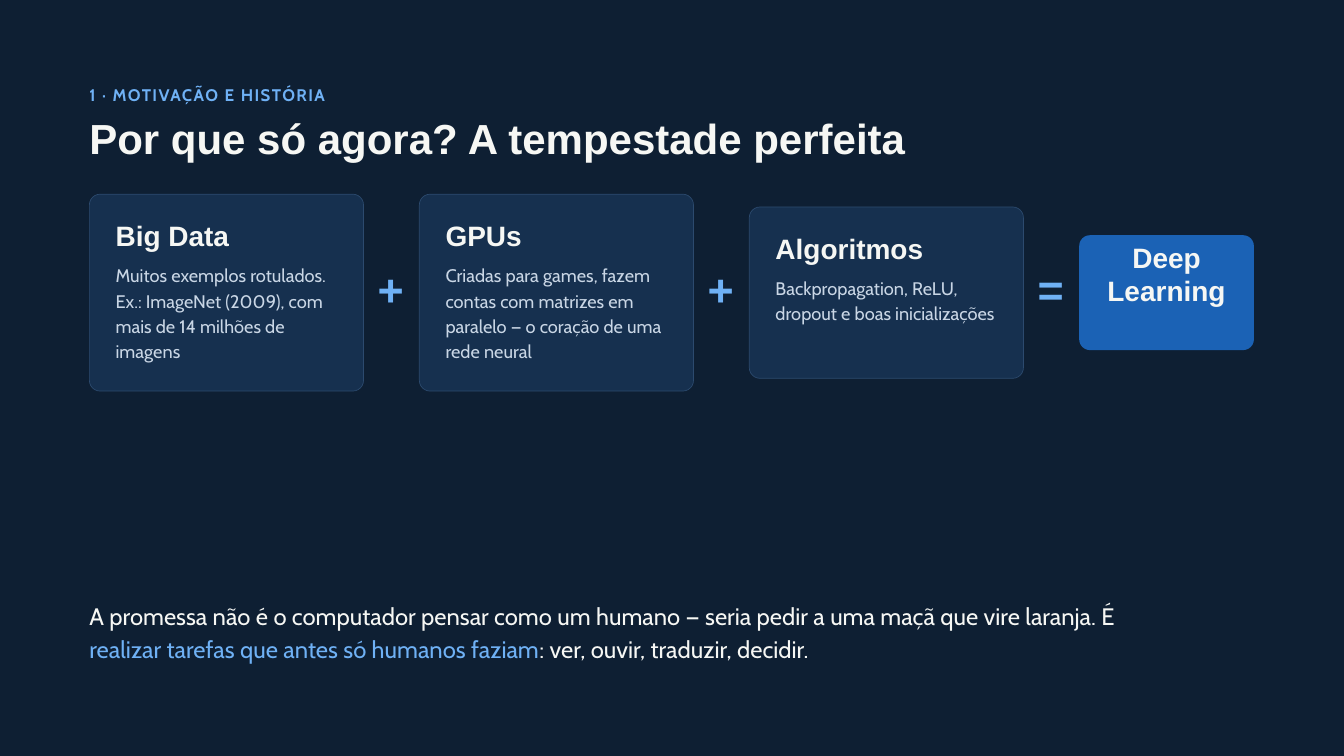
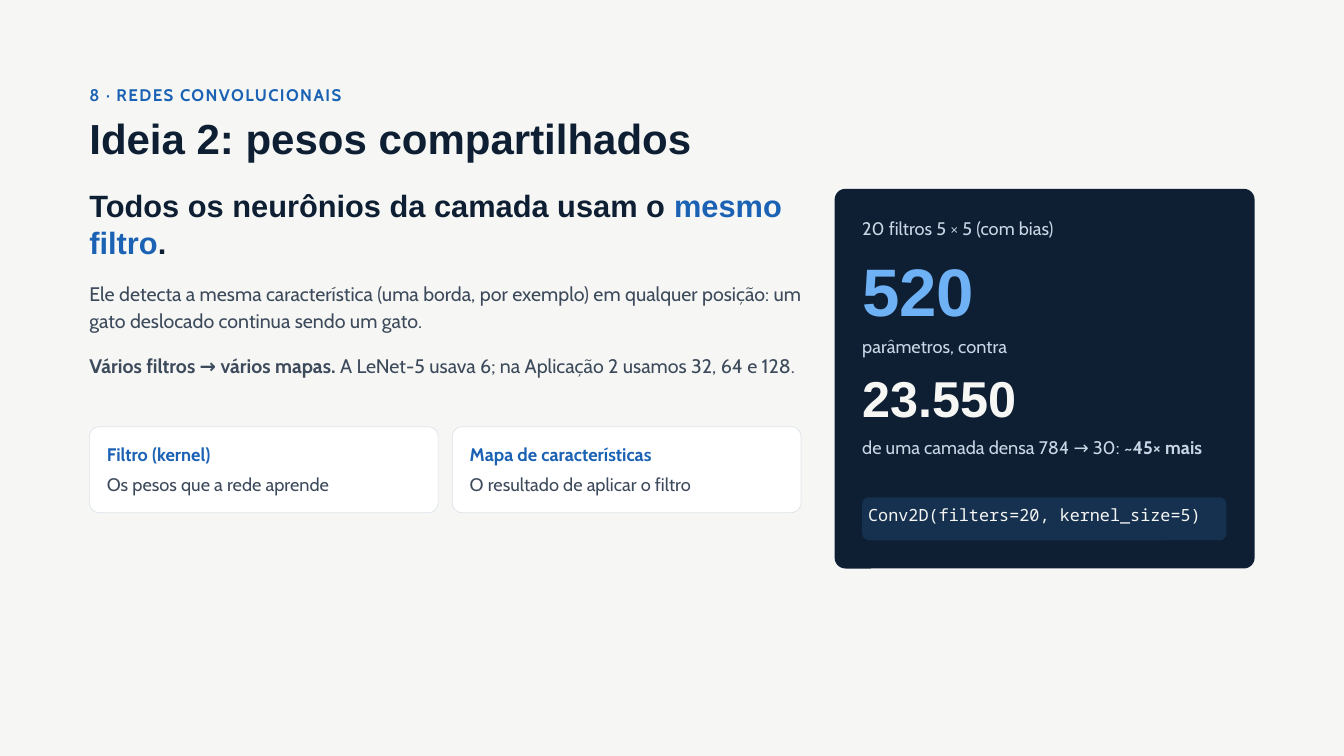
from dataclasses import dataclass, replace
from typing import NamedTuple, Optional

from pptx import Presentation
from pptx import util as u
from pptx.dml.color import RGBColor
from pptx.enum import shapes, text

NAVY = RGBColor(0x0E, 0x1F, 0x33)
PANEL = RGBColor(0x16, 0x30, 0x4F)
PANEL_EDGE = RGBColor(0x2C, 0x4A, 0x6E)
BLUE = RGBColor(0x1B, 0x62, 0xB5)
SKY = RGBColor(0x6F, 0xB1, 0xF5)
MIST = RGBColor(0xC9, 0xD6, 0xE5)
PAPER = RGBColor(0xF6, 0xF7, 0xF4)
WHITE = RGBColor(0xFF, 0xFF, 0xFF)
WHITE_EDGE = RGBColor(0xDD, 0xE3, 0xEA)
SLATE = RGBColor(0x3D, 0x4A, 0x5C)

HEADING_FONT = "Arial"
BODY_FONT = "Cabin"
CODE_FONT = "Noto Sans Mono"
LEFT = 1.33
TITLE_ONLY = 5


@dataclass(frozen=True)
class Style:
    font: str
    size: float
    leading: float
    color: RGBColor
    bold: bool = False
    tracking: float = 0
    align: text.PP_ALIGN = text.PP_ALIGN.LEFT


class Span(NamedTuple):
    words: str
    color: Optional[RGBColor] = None
    bold: Optional[bool] = None


class Area(NamedTuple):
    left: float
    top: float
    width: float
    height: float

    def lengths(self) -> list:
        return [u.Inches(value) for value in self]


class Theme(NamedTuple):
    background: RGBColor
    accent: RGBColor
    ink: RGBColor


class Card(NamedTuple):
    heading: str
    body: str
    height: float
    operator: str


class Definition(NamedTuple):
    term: str
    meaning: str


class Line(NamedTuple):
    top: float
    height: float
    spans: list
    style: Style


DARK = Theme(NAVY, SKY, PAPER)
LIGHT = Theme(PAPER, BLUE, NAVY)

SECTION = Style(BODY_FONT, 18, 25.2, SKY, bold=True, tracking=1.5)
TITLE = Style(HEADING_FONT, 45, 49.5, PAPER, bold=True)
CARD_HEADING = Style(HEADING_FONT, 30, 36, PAPER, bold=True)
CARD_BODY = Style(BODY_FONT, 19.5, 27.3, MIST)
OPERATOR = Style(HEADING_FONT, 48, 67.2, SKY, bold=True)
RESULT = replace(CARD_HEADING, leading=34.5, align=text.PP_ALIGN.CENTER)
PROMISE = Style(BODY_FONT, 25.5, 35.7, PAPER)
LEAD = Style(HEADING_FONT, 33, 39.6, NAVY, bold=True)
PROSE = Style(BODY_FONT, 21, 29.4, SLATE)
TERM = replace(CARD_BODY, color=BLUE, bold=True)
MEANING = replace(CARD_BODY, leading=26.3, color=SLATE)
BIG_NUMBER = Style(HEADING_FONT, 72, 72, SKY, bold=True)
NUMBER = Style(HEADING_FONT, 54, 54, PAPER, bold=True)
CODE = Style(CODE_FONT, 18, 25.2, PAPER)


def apply(target, values: dict) -> None:
    for name, value in values.items():
        setattr(target, name, value)


def write(box, spans: list, style: Style, side: float = 0, top: float = 0) -> None:
    frame = box.text_frame
    apply(frame, {
        "word_wrap": True,
        "auto_size": text.MSO_AUTO_SIZE.NONE,
        "vertical_anchor": text.MSO_ANCHOR.TOP,
        "margin_left": u.Inches(side),
        "margin_right": u.Inches(side),
        "margin_top": u.Inches(top),
        "margin_bottom": u.Inches(top),
    })
    para = frame.paragraphs[0]
    apply(para, {
        "alignment": style.align,
        "line_spacing": u.Pt(style.leading),
        "space_before": u.Pt(0),
    })
    for part in spans:
        span = para.add_run()
        span.text = part.words
        bold = style.bold if part.bold is None else part.bold
        apply(span.font, {"name": style.font, "size": u.Pt(style.size), "bold": bold})
        span.font.color.rgb = part.color or style.color
        if style.tracking:
            span.font._element.set("spc", str(round(style.tracking * 100)))


def add_text(page, area: Area, spans: list, style: Style) -> None:
    write(page.shapes.add_textbox(*area.lengths()), spans, style)


def add_panel(page, area: Area, fill: RGBColor, edge: Optional[RGBColor] = None,
              radius: float = 0.16):
    panel = page.shapes.add_shape(shapes.MSO_SHAPE.ROUNDED_RECTANGLE, *area.lengths())
    panel.adjustments[0] = radius / min(area.width, area.height)
    panel.shadow.inherit = False
    panel.fill.solid()
    panel.fill.fore_color.rgb = fill
    if edge is None:
        panel.line.fill.background()
    else:
        panel.line.color.rgb = edge
        panel.line.width = u.Pt(0.75)
    return panel


def add_page(deck, theme: Theme, section: str, title: str):
    page = deck.slides.add_slide(deck.slide_layouts[TITLE_ONLY])
    page.background.fill.solid()
    page.background.fill.fore_color.rgb = theme.background
    add_text(page, Area(LEFT, 1.21, 17.85, 0.43), [Span(section)],
             replace(SECTION, color=theme.accent))
    box = page.shapes.title
    apply(box, dict(zip(("left", "top", "width", "height"),
                        Area(LEFT, 1.73, 17.85, 0.71).lengths())))
    write(box, [Span(title)], replace(TITLE, color=theme.ink))
    return page


def build_motivation(deck) -> None:
    page = add_page(deck, DARK, "1 · MOTIVAÇÃO E HISTÓRIA",
                    "Por que só agora? A tempestade perfeita")
    cards = [
        Card("Big Data", "Muitos exemplos rotulados. Ex.: ImageNet (2009), com mais de "
             "14 milhões de imagens", 2.93, "+"),
        Card("GPUs", "Criadas para games, fazem contas com matrizes em paralelo — "
             "o coração de uma rede neural", 2.93, "+"),
        Card("Algoritmos", "Backpropagation, ReLU, dropout e boas inicializações", 2.55, "="),
    ]
    middle, pitch, result_height = 4.355, 4.91, 1.71
    for index, card in enumerate(cards):
        left = LEFT + index * pitch
        top = middle - card.height / 2
        add_panel(page, Area(left, top, 4.08, card.height), PANEL, PANEL_EDGE)
        add_text(page, Area(left + 0.39, top + 0.36, 3.41, 0.56),
                 [Span(card.heading)], CARD_HEADING)
        add_text(page, Area(left + 0.39, top + 0.99, 3.41, card.height - 1.33),
                 [Span(card.body)], CARD_BODY)
        add_text(page, Area(left + 4.29, 3.76, 0.5, 1.1), [Span(card.operator)], OPERATOR)
    result = add_panel(page, Area(LEFT + len(cards) * pitch, middle - result_height / 2,
                                  2.6, result_height), BLUE)
    write(result, [Span("Deep Learning")], RESULT, 0.06, 0.06)
    add_text(page, Area(LEFT, 8.88, 16.09, 1.07), [
        Span("A promessa não é o computador pensar como um humano — seria pedir a uma "
             "maçã que vire laranja. É "),
        Span("realizar tarefas que antes só humanos faziam", SKY),
        Span(": ver, ouvir, traduzir, decidir."),
    ], PROMISE)


def build_shared_weights(deck) -> None:
    page = add_page(deck, LIGHT, "8 · REDES CONVOLUCIONAIS",
                    "Ideia 2: pesos compartilhados")
    explanation = [
        Line(2.78, 1.17, [Span("Todos os neurônios da camada usam o "),
                          Span("mesmo filtro", BLUE), Span(".")], LEAD),
        Line(4.13, 0.91, [Span("Ele detecta a mesma característica (uma borda, por exemplo) "
                               "em qualquer posição: um gato deslocado continua sendo "
                               "um gato.")], PROSE),
        Line(5.21, 0.91, [Span("Vários filtros → vários mapas.", bold=True),
                          Span(" A LeNet-5 usava 6; na Aplicação 2 usamos 32, 64 e 128.")],
             PROSE),
    ]
    comparison = [
        Line(3.18, 0.46, [Span("20 filtros 5 × 5 (com bias)")], CARD_BODY),
        Line(3.91, 0.93, [Span("520")], BIG_NUMBER),
        Line(4.94, 0.46, [Span("parâmetros, contra")], CARD_BODY),
        Line(5.62, 0.72, [Span("23.550")], NUMBER),
        Line(6.45, 0.8, [Span("de uma camada densa 784 → 30: "),
                         Span("~45× mais", bold=True)], replace(CARD_BODY, leading=26.3)),
    ]
    definitions = [
        Definition("Filtro (kernel)", "Os pesos que a rede aprende"),
        Definition("Mapa de características", "O resultado de aplicar o filtro"),
    ]
    for index, definition in enumerate(definitions):
        left = LEFT + index * 5.4
        add_panel(page, Area(left, 6.35, 5.19, 1.28), WHITE, WHITE_EDGE, 0.15)
        add_text(page, Area(left + 0.26, 6.55, 4.81, 0.46), [Span(definition.term)], TERM)
        add_text(page, Area(left + 0.26, 7, 4.81, 0.44), [Span(definition.meaning)], MEANING)
    add_panel(page, Area(12.42, 2.81, 6.25, 5.65), NAVY)
    for left, width, lines in ((LEFT, 10.9, explanation), (12.83, 5.58, comparison)):
        for line in lines:
            add_text(page, Area(left, line.top, width, line.height), line.spans, line.style)
    code = add_panel(page, Area(12.83, 7.4, 5.42, 0.64), PANEL, radius=0.1)
    write(code, [Span("Conv2D(filters=20, kernel_size=5)")], CODE, 0.06, 0.03)


def main() -> None:
    deck = Presentation()
    apply(deck, {"slide_width": u.Inches(20), "slide_height": u.Inches(11.25)})
    build_motivation(deck)
    build_shared_weights(deck)
    deck.save("out.pptx")


if __name__ == "__main__":
    main()
